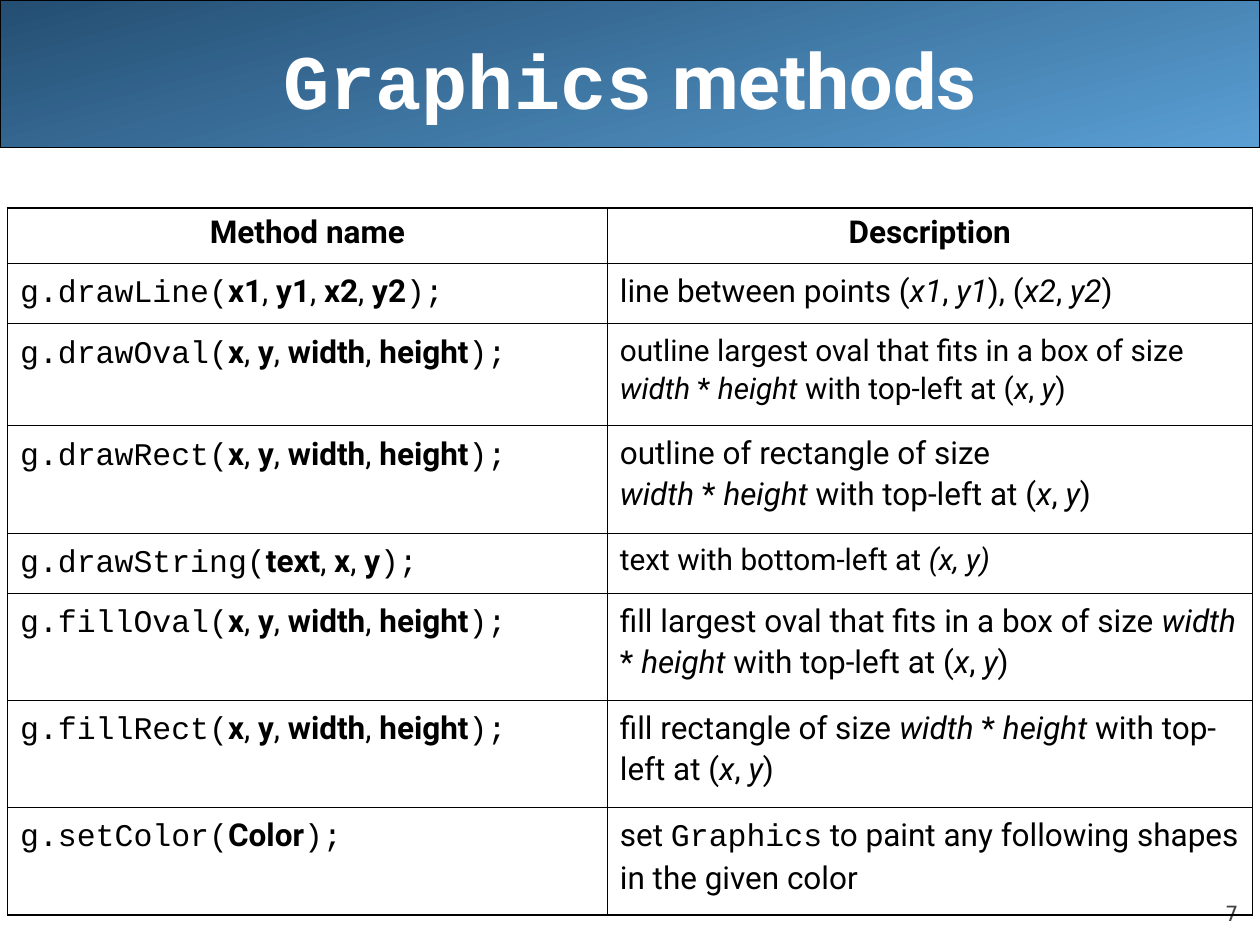
from dataclasses import dataclass
from typing import Optional

from lxml import etree
from pptx import Presentation
from pptx.dml.color import RGBColor
from pptx.enum.shapes import MSO_SHAPE
from pptx.enum.text import MSO_ANCHOR, PP_ALIGN
from pptx.oxml.ns import qn
from pptx.util import Inches, Pt

LEFT, CENTER, RIGHT = PP_ALIGN.LEFT, PP_ALIGN.CENTER, PP_ALIGN.RIGHT
MIDDLE, BOTTOM = MSO_ANCHOR.MIDDLE, MSO_ANCHOR.BOTTOM
ROUNDED = MSO_SHAPE.ROUNDED_RECTANGLE
BOLD, ITALIC, CODE = "|", "_", "`"


@dataclass(frozen=True)
class Theme:
    ink: str = "000000"
    white: str = "FFFFFF"
    muted: str = "424242"
    banner_dark: str = "244E72"
    banner_light: str = "5A9FD4"
    body_font: str = "Roboto"
    code_font: str = "Courier New"
    number_font: str = "DejaVu Sans"
    title_size: float = 44
    body_size: float = 18
    tight_size: float = 17
    number_size: float = 12
    outer_line: float = 1.08
    inner_line: float = 0.45


@dataclass(frozen=True)
class Method:
    name: str
    params: str
    description: str
    height: float
    size: float = 18

    @property
    def call(self) -> str:
        params = ", ".join(f"|{param}|" for param in self.params.split())
        return f"`g.{self.name}(`{params}`);`"


THEME = Theme()
BOX = "x y width height"
CORNER = "with top-left at (_x_, _y_)"
HEADER_HEIGHT = 0.44
COLUMN_WIDTHS = (4.76, 5.12)
METHODS = (
    Method("drawLine", "x1 y1 x2 y2",
           "line between points (_x1_, _y1_), (_x2_, _y2_)", 0.48),
    Method("drawOval", BOX,
           f"outline largest oval that fits in a box of size _width _* _height_ {CORNER}",
           0.81, THEME.tight_size),
    Method("drawRect", BOX,
           f"outline of rectangle of size\n_width_ * _height_ {CORNER}", 0.85),
    Method("drawString", "text x y",
           "text with bottom-left at _(x, y)_", 0.48, THEME.tight_size),
    Method("fillOval", BOX,
           f"fill largest oval that fits in a box of size _width _* _height_ {CORNER}", 0.85),
    Method("fillRect", BOX,
           f"fill rectangle of size _width_ * _height_ {CORNER}", 0.85),
    Method("setColor", "Color",
           "set `Graphics` to paint any following shapes in the given color", 0.85),
)


def rgb(color: str) -> RGBColor:
    return RGBColor.from_string(color)


def write(tf, text: str, *, size: float = THEME.body_size, color: str = THEME.ink,
          font: str = THEME.body_font, bold: bool = False, align=LEFT,
          before: float = 0, spacing: Optional[float] = None) -> None:
    p = tf.paragraphs[0]
    p.alignment = align
    p.space_before = Pt(before)
    p.line_spacing = spacing
    active, chunk = set(), ""

    def flush() -> None:
        if not chunk:
            return
        r = p.add_run()
        r.text = chunk
        r.font.size = Pt(size)
        r.font.name = THEME.code_font if CODE in active else font
        r.font.bold = bold or BOLD in active
        r.font.italic = ITALIC in active
        r.font.color.rgb = rgb(color)

    for char in text:
        if char in (BOLD, ITALIC, CODE, "\n"):
            flush()
            chunk = ""
            if char == "\n":
                p.add_line_break()
            else:
                active ^= {char}
        else:
            chunk += char
    flush()


def add_banner(s) -> None:
    sp = s.shapes.add_shape(ROUNDED, 0, 0, Inches(10), Inches(1.17))
    sp.adjustments[0] = 0
    sp.shadow.inherit = False
    sp.fill.gradient()
    sp.fill.gradient_angle = 285
    for stop, position, color in zip(sp.fill.gradient_stops, (0, 1),
                                     (THEME.banner_dark, THEME.banner_light)):
        stop.position = position
        stop.color.rgb = rgb(color)
    sp.line.color.rgb = rgb(THEME.ink)
    sp.line.width = Pt(0.75)


def add_text(s, text: str, left: float, top: float, width: float, height: float,
             *, anchor, inset: float = 0, **style) -> None:
    sp = s.shapes.add_textbox(Inches(left), Inches(top), Inches(width), Inches(height))
    tf = sp.text_frame
    tf.word_wrap = True
    tf.vertical_anchor = anchor
    tf.margin_left = tf.margin_right = Inches(inset)
    tf.margin_top = tf.margin_bottom = Inches(inset / 2)
    write(tf, text, **style)


def set_borders(cell, outer_sides: dict[str, bool]) -> None:
    tc_pr = cell._tc.get_or_add_tcPr()
    for side, outer in outer_sides.items():
        width = THEME.outer_line if outer else THEME.inner_line
        ln = etree.SubElement(tc_pr, qn(f"a:ln{side}"), w=str(Pt(width)))
        fill = etree.SubElement(ln, qn("a:solidFill"))
        etree.SubElement(fill, qn("a:srgbClr"), val=THEME.ink)
    cell.fill.background()


def add_method_table(s) -> None:
    heights = [HEADER_HEIGHT] + [method.height for method in METHODS]
    rows, cols = len(heights), len(COLUMN_WIDTHS)
    table = s.shapes.add_table(rows, cols, Inches(0.06), Inches(1.65),
                               Inches(sum(COLUMN_WIDTHS)), Inches(sum(heights))).table
    table.first_row = table.horz_banding = False
    for column, width in zip(table.columns, COLUMN_WIDTHS):
        column.width = Inches(width)
    for row, height in zip(table.rows, heights):
        row.height = Inches(height)
    for i in range(rows):
        for j in range(cols):
            set_borders(table.cell(i, j), {"L": j == 0, "R": j == cols - 1,
                                           "T": i == 0, "B": i == rows - 1})
    for j, heading in enumerate(("Method name", "Description")):
        write(table.cell(0, j).text_frame, heading, bold=True, align=CENTER, before=4.5)
    for i, method in enumerate(METHODS, start=1):
        for j, (text, size) in enumerate(((method.call, THEME.body_size),
                                          (method.description, method.size))):
            write(table.cell(i, j).text_frame, text, size=size,
                  before=size / 4, spacing=1.1)


def main() -> None:
    prs = Presentation()
    prs.slide_width, prs.slide_height = Inches(10), Inches(7.5)
    s = prs.slides.add_slide(prs.slide_layouts[6])
    add_banner(s)
    add_text(s, "7", 9, 6.95, 0.83, 0.4, anchor=BOTTOM, size=THEME.number_size,
             font=THEME.number_font, color=THEME.muted, align=RIGHT, before=5)
    add_text(s, "`Graphics` methods", 0.5, 0, 9, 1.25, anchor=MIDDLE, inset=0.1,
             size=THEME.title_size, color=THEME.white, bold=True, align=CENTER)
    add_method_table(s)
    prs.save("out.pptx")


if __name__ == "__main__":
    main()
